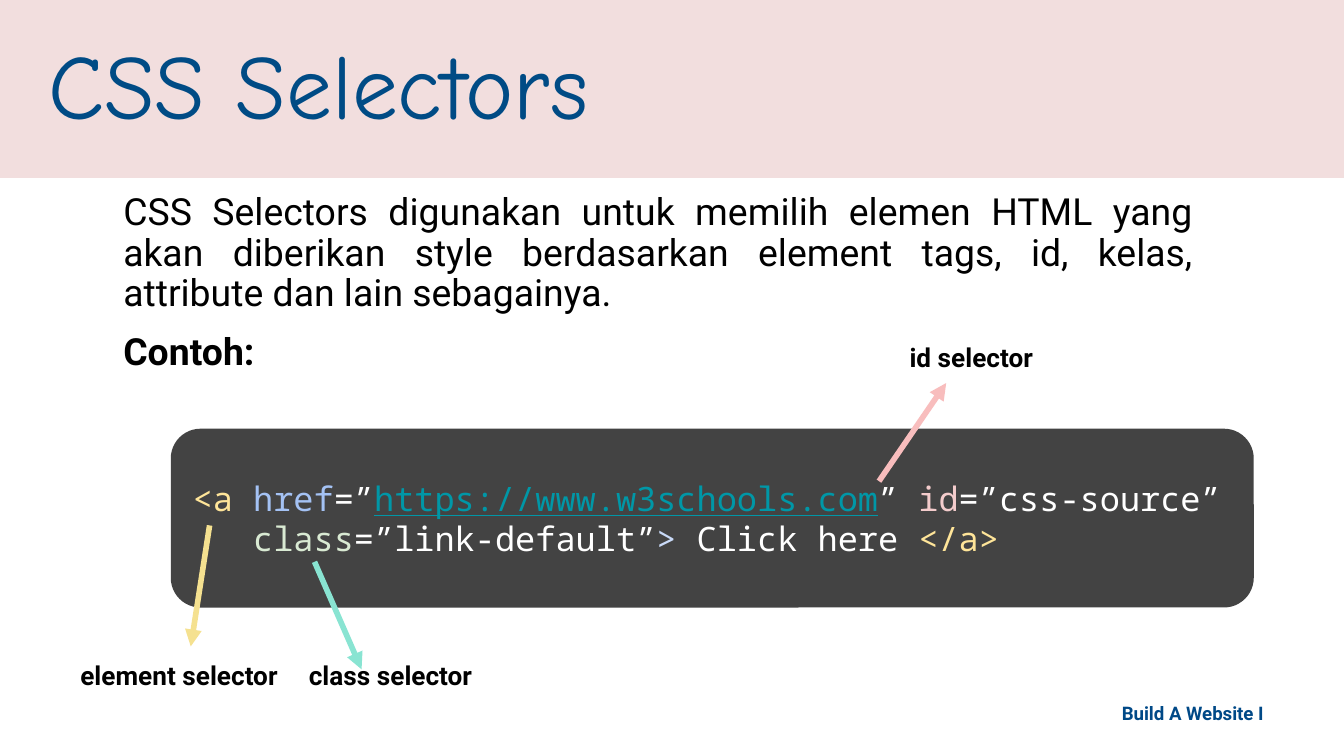
from pptx import Presentation
from pptx.dml.color import RGBColor
from pptx.enum.shapes import MSO_CONNECTOR, MSO_SHAPE
from pptx.enum.text import MSO_ANCHOR as Anchor, MSO_AUTO_SIZE as AutoSize, PP_ALIGN as Align
from pptx.oxml.ns import qn
from pptx.util import Pt
from lxml.etree import SubElement

WHITE = RGBColor(0xFF, 0xFF, 0xFF)
BLACK = RGBColor(0, 0, 0)
NAVY = RGBColor(0x00, 0x4B, 0x85)
FOOTER_BLUE = RGBColor(0x00, 0x49, 0x87)
BAND_PINK = RGBColor(0xF2, 0xDE, 0xDE)
CODE_GRAY = RGBColor(0x43, 0x43, 0x43)
TAG_YELLOW = RGBColor(0xFF, 0xE5, 0x99)
HREF_BLUE = RGBColor(0xA4, 0xC2, 0xF4)
LINK_TEAL = RGBColor(0x00, 0x97, 0xA7)
ID_PINK = RGBColor(0xF4, 0xCC, 0xCC)
CLASS_GREEN = RGBColor(0xD9, 0xEA, 0xD3)
BRACKET_BLUE = RGBColor(0xC9, 0xDA, 0xF8)
ARROW_PINK = RGBColor(0xF8, 0xBD, 0xBD)
ARROW_GREEN = RGBColor(0x89, 0xE4, 0xD2)
ARROW_YELLOW = RGBColor(0xF5, 0xE1, 0x90)


def add_run(paragraph, text, size=14, font="Roboto", color=BLACK, bold=False, underline=False):
    run = paragraph.add_run()
    run.text = text
    run.font.size = Pt(size)
    run.font.name = font
    run.font.color.rgb = color
    run.font.bold = bold
    run.font.underline = underline


def set_frame(shape, anchor=Anchor.TOP):
    frame = shape.text_frame
    frame.word_wrap = True
    frame.auto_size = AutoSize.NONE
    frame.vertical_anchor = anchor
    frame.margin_left = frame.margin_right = Pt(7.2)
    frame.margin_top = frame.margin_bottom = Pt(7.2)
    return frame


presentation = Presentation()
presentation.slide_width = Pt(720)
presentation.slide_height = Pt(405)
slide = presentation.slides.add_slide(presentation.slide_layouts[5])
shapes = slide.shapes

band = shapes.add_shape(MSO_SHAPE.RECTANGLE, Pt(0), Pt(-0.5), Pt(720), Pt(95.75))
band.shadow.inherit = False
band.fill.solid()
band.fill.fore_color.rgb = BAND_PINK
band.line.color.rgb = BAND_PINK
band.line.width = Pt(0.75)

title = shapes.title
title.element.addprevious(band.element)
title.left, title.top, title.width, title.height = Pt(18.7), Pt(33.1), Pt(404.6), Pt(30.2)
paragraph = set_frame(title, Anchor.MIDDLE).paragraphs[0]
paragraph.alignment = Align.LEFT
paragraph.line_spacing = 0.9
add_run(paragraph, "CSS Selectors", size=49, font="Comic Neue", color=NAVY)

body = shapes.add_textbox(Pt(59), Pt(96.5), Pt(587.5), Pt(250))
frame = set_frame(body)
description = frame.paragraphs[0]
example = frame.add_paragraph()
example.space_before = Pt(10)
for paragraph in (description, example):
    paragraph.alignment = Align.JUSTIFY
    paragraph.line_spacing = 0.9
add_run(
    description,
    "CSS Selectors digunakan untuk memilih elemen HTML yang akan diberikan style "
    "berdasarkan element tags, id, kelas, attribute dan lain sebagainya.",
    size=20,
)
add_run(example, "Contoh:", size=20, bold=True)

code_box = shapes.add_shape(
    MSO_SHAPE.FLOWCHART_ALTERNATE_PROCESS, Pt(91.5), Pt(229.7), Pt(580.2), Pt(95.8)
)
code_box.shadow.inherit = False
code_box.fill.solid()
code_box.fill.fore_color.rgb = CODE_GRAY
code_box.line.fill.background()
frame = set_frame(code_box, Anchor.MIDDLE)
code_lines = [
    [("<a ", TAG_YELLOW), ("href", HREF_BLUE), ("=”", WHITE),
     ("https://www.w3schools.com", LINK_TEAL), ("” ", WHITE),
     ("id", ID_PINK), ("=”css-source”", WHITE)],
    [("   ", WHITE), ("class", CLASS_GREEN), ("=”link-default”", WHITE),
     (">", BRACKET_BLUE), (" Click here ", WHITE), ("</a>", TAG_YELLOW)],
]
for paragraph, code_line in zip((frame.paragraphs[0], frame.add_paragraph()), code_lines):
    paragraph.alignment = Align.LEFT
    for text, color in code_line:
        add_run(paragraph, text, size=18, font="Noto Sans Mono", color=color,
                underline=color == LINK_TEAL)

arrows = [
    (470.9, 257.8, 506.9, 205.2, ARROW_PINK),
    (168.5, 301, 193.7, 358.6, ARROW_GREEN),
    (112.3, 281.5, 102.2, 346.3, ARROW_YELLOW),
]
for start_x, start_y, end_x, end_y, color in arrows:
    arrow = shapes.add_connector(
        MSO_CONNECTOR.STRAIGHT, Pt(start_x), Pt(start_y), Pt(end_x), Pt(end_y)
    )
    arrow.line.color.rgb = color
    arrow.line.width = Pt(3)
    SubElement(arrow.line._get_or_add_ln(), qn("a:tailEnd"), type="triangle")
    SubElement(arrow.element.spPr, qn("a:effectLst"))

labels = [
    ("id selector", 480.2, 175.7, 108, 14, BLACK, Align.LEFT),
    ("element selector", 36, 346.3, 131.8, 14, BLACK, Align.LEFT),
    ("class selector", 158.4, 346.3, 124.6, 14, BLACK, Align.LEFT),
    ("Build A Website I", 522, 368.6, 162, 10, FOOTER_BLUE, Align.RIGHT),
]
for text, left, top, width, size, color, alignment in labels:
    label = shapes.add_textbox(Pt(left), Pt(top), Pt(width), Pt(30))
    paragraph = set_frame(label).paragraphs[0]
    paragraph.alignment = alignment
    add_run(paragraph, text, size=size, color=color, bold=True)

presentation.save("out.pptx")
